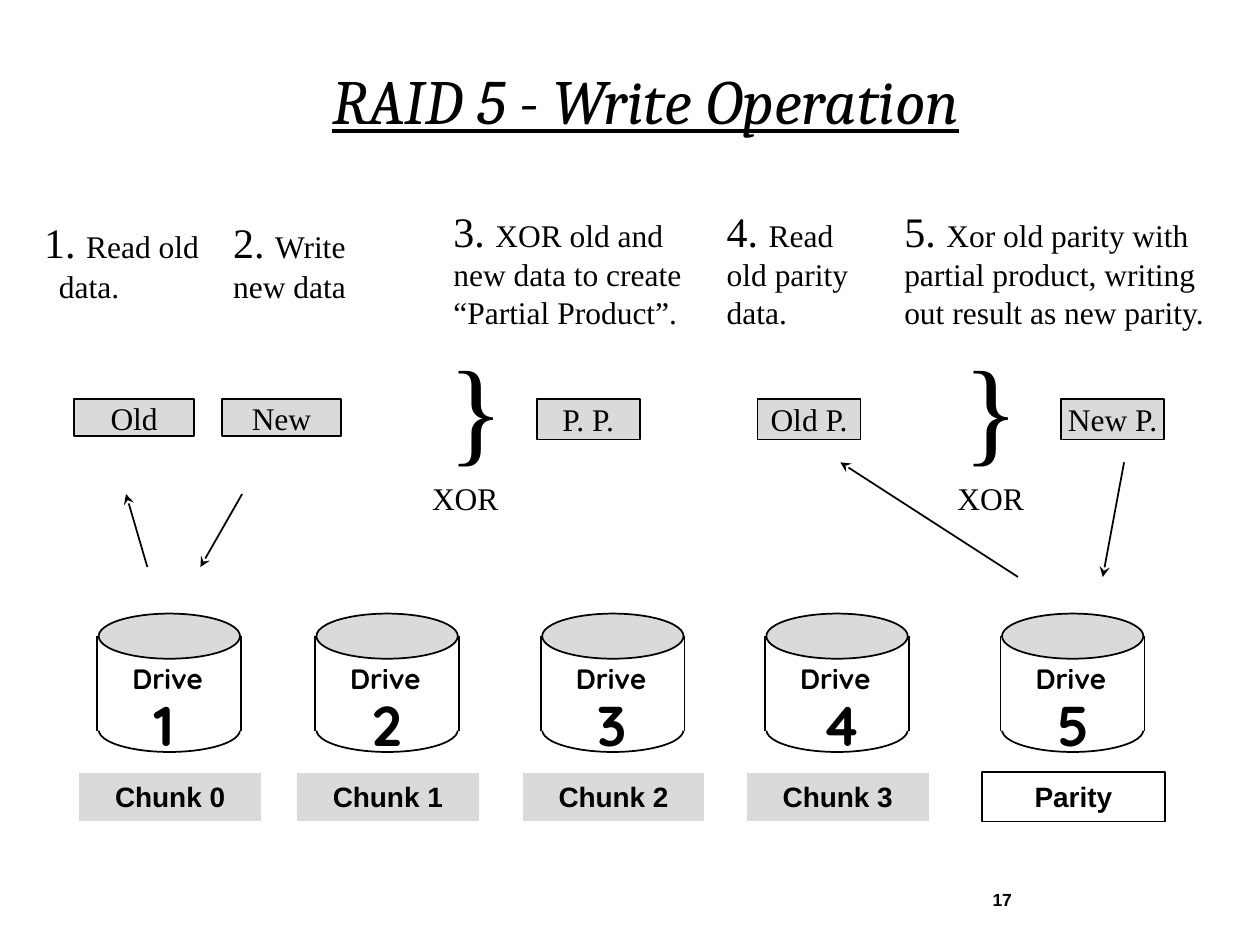
"""Build the RAID 5 write operation slide."""
from lxml import etree
from pptx import Presentation
from pptx.dml.color import RGBColor
from pptx.enum.shapes import MSO_CONNECTOR, MSO_SHAPE
from pptx.enum.text import MSO_ANCHOR, MSO_AUTO_SIZE, PP_ALIGN
from pptx.oxml.ns import qn
from pptx.util import Cm, Pt

RECT, OVAL = MSO_SHAPE.RECTANGLE, MSO_SHAPE.OVAL
STRAIGHT = MSO_CONNECTOR.STRAIGHT
LEFT, CENTER, RIGHT = PP_ALIGN.LEFT, PP_ALIGN.CENTER, PP_ALIGN.RIGHT
TOP, MIDDLE, BOTTOM = MSO_ANCHOR.TOP, MSO_ANCHOR.MIDDLE, MSO_ANCHOR.BOTTOM
FIT, FIXED = MSO_AUTO_SIZE.SHAPE_TO_FIT_TEXT, MSO_AUTO_SIZE.NONE
COLORS = {"black": "000000", "white": "FFFFFF", "gray": "DADADA"}
SERIF, SANS, ROUND, TITLE = "Times New Roman", "Arial", "Quicksand", "Cambria"


def add_shape(shapes, kind, box, fill, line=None):
    sp = shapes.add_shape(kind, *map(Cm, box))
    sp.shadow.inherit = False
    sp.fill.solid()
    sp.fill.fore_color.rgb = RGBColor.from_string(COLORS[fill])
    if line:
        sp.line.color.rgb = RGBColor.from_string(COLORS[line])
        sp.line.width = Pt(1)
    else:
        sp.line.fill.background()
    return sp


def write(sp, runs, font=SERIF, bold=False, align=LEFT, wrap=False, anchor=TOP, size=FIT):
    tf = sp.text_frame
    tf.word_wrap = wrap
    tf.auto_size = size
    tf.vertical_anchor = anchor
    p = tf.paragraphs[0]
    p.alignment = align
    for text, points in runs:
        r = p.add_run()
        r.text = text
        r.font.name = font
        r.font.size = Pt(points)
        r.font.bold = bold
        r.font.color.rgb = RGBColor.from_string(COLORS["black"])
    return p


prs = Presentation()
prs.slide_width, prs.slide_height = Cm(25.4), Cm(19.05)
s = prs.slides.add_slide(prs.slide_layouts[6])
shapes = s.shapes

title = shapes.add_textbox(Cm(6.45), Cm(1.12), Cm(15.44), Cm(1.78))
p = write(title, [("RAID 5 - Write Operation", 36)], TITLE)
p.runs[0].font.italic = True
p.runs[0].font.underline = True

steps = [
    (0.64, 4.24, 4.24, 2.03, "Read old data."),
    (4.45, 4.24, 3.81, 2.03, "Write new data"),
    (8.89, 4.01, 5.72, 2.79, "XOR old and new data to create “Partial Product”."),
    (14.4, 4.01, 3.61, 2.79, "Read old parity data."),
    (17.98, 4.01, 6.99, 2.79,
     "Xor old parity with partial product, writing out result as new parity."),
]
for n, (*box, text) in enumerate(steps, 1):
    sp = shapes.add_textbox(*map(Cm, box))
    p = write(sp, [(f"{n}. ", 24), (text, 18)], wrap=True)
    if n == 1:
        pPr = p._p.get_or_add_pPr()
        pPr.set("marL", str(Cm(0.3)))
        pPr.set("indent", str(-Cm(0.3)))

blocks = [
    (1.5, 2.41, 0.74, "Old"),
    (4.47, 2.41, 0.74, "New"),
    (10.82, 2.08, 0.81, "P. P."),
    (15.27, 2.08, 0.81, "Old P."),
    (21.39, 2.08, 0.81, "New P."),
]
for x, w, h, text in blocks:
    sp = add_shape(shapes, RECT, (x, 8.05, w, h), "gray", "black")
    write(sp, [(text, 18)], align=CENTER, anchor=MIDDLE, size=FIXED)

for brace_x, xor_x in [(8.79, 8.46), (19.18, 19.05)]:
    write(shapes.add_textbox(Cm(brace_x), Cm(6.65), Cm(1.63), Cm(3.05)), [("}", 66)])
    write(shapes.add_textbox(Cm(xor_x), Cm(9.53), Cm(1.91), Cm(1.02)),
          [("XOR", 18)], wrap=True)

arrows = [
    (2.97, 11.43, 2.54, 9.96),
    (4.88, 9.96, 4.04, 11.43),
    (20.52, 11.63, 16.94, 9.32),
    (22.66, 9.32, 22.23, 11.63),
]
lines = []
for ends in arrows:
    arrow = shapes.add_connector(STRAIGHT, *map(Cm, ends))
    ln = arrow.line
    ln.fill.solid()
    etree.SubElement(arrow._element.spPr.find(qn("a:ln")), qn("a:tailEnd"), type="stealth")
    lines.append(arrow)

drives = [
    (1.96, "Chunk 0", 2.74),
    (6.35, "Chunk 1", 2.74),
    (10.9, "Chunk 2", 2.74),
    (15.42, "Chunk 3", 2.74),
    (20.17, "Parity", 2.08),
]
for n, (x, chunk, text_w) in enumerate(drives, 1):
    fill, edge = ("white", "black") if chunk == "Parity" else ("gray", "white")
    g = shapes.add_group_shape().shapes
    add_shape(g, RECT, (x - 0.38, 15.57, 3.7, 0.99), fill, edge)
    text_x = x - 0.38 + (3.7 - text_w) / 2
    write(g.add_textbox(Cm(text_x), Cm(15.6), Cm(text_w), Cm(0.94)),
          [(chunk, 16)], SANS, True, CENTER)

    g = shapes.add_group_shape().shapes
    add_shape(g, OVAL, (x + 0.03, 14.27, 2.85, 0.89), "white", "black")
    add_shape(g, RECT, (x, 12.83, 2.92, 1.9), "white")
    add_shape(g, OVAL, (x + 0.03, 12.37, 2.85, 0.91), "gray", "black")
    for side in (x, x + 2.9):
        lines.append(g.add_connector(STRAIGHT, Cm(side), Cm(12.83), Cm(side), Cm(14.73)))
    write(g.add_textbox(Cm(x + 0.46), Cm(13.21), Cm(2.01), Cm(0.94)),
          [("Drive", 16)], ROUND, True)
    write(g.add_textbox(Cm(x + 0.89), Cm(13.79), Cm(1.17), Cm(1.6)),
          [(str(n), 32)], ROUND, True)

for line in lines:
    line.line.color.rgb = RGBColor.from_string(COLORS["black"])
    line.line.width = Pt(1)
    etree.SubElement(line._element.spPr, qn("a:effectLst"))

number = shapes.add_textbox(Cm(18.67), Cm(17.98), Cm(1.73), Cm(0.36))
write(number, [("17", 10)], SANS, True, RIGHT, True, BOTTOM, FIXED)
tf = number.text_frame
tf.margin_left = tf.margin_right = tf.margin_top = tf.margin_bottom = 0

prs.save("out.pptx")
